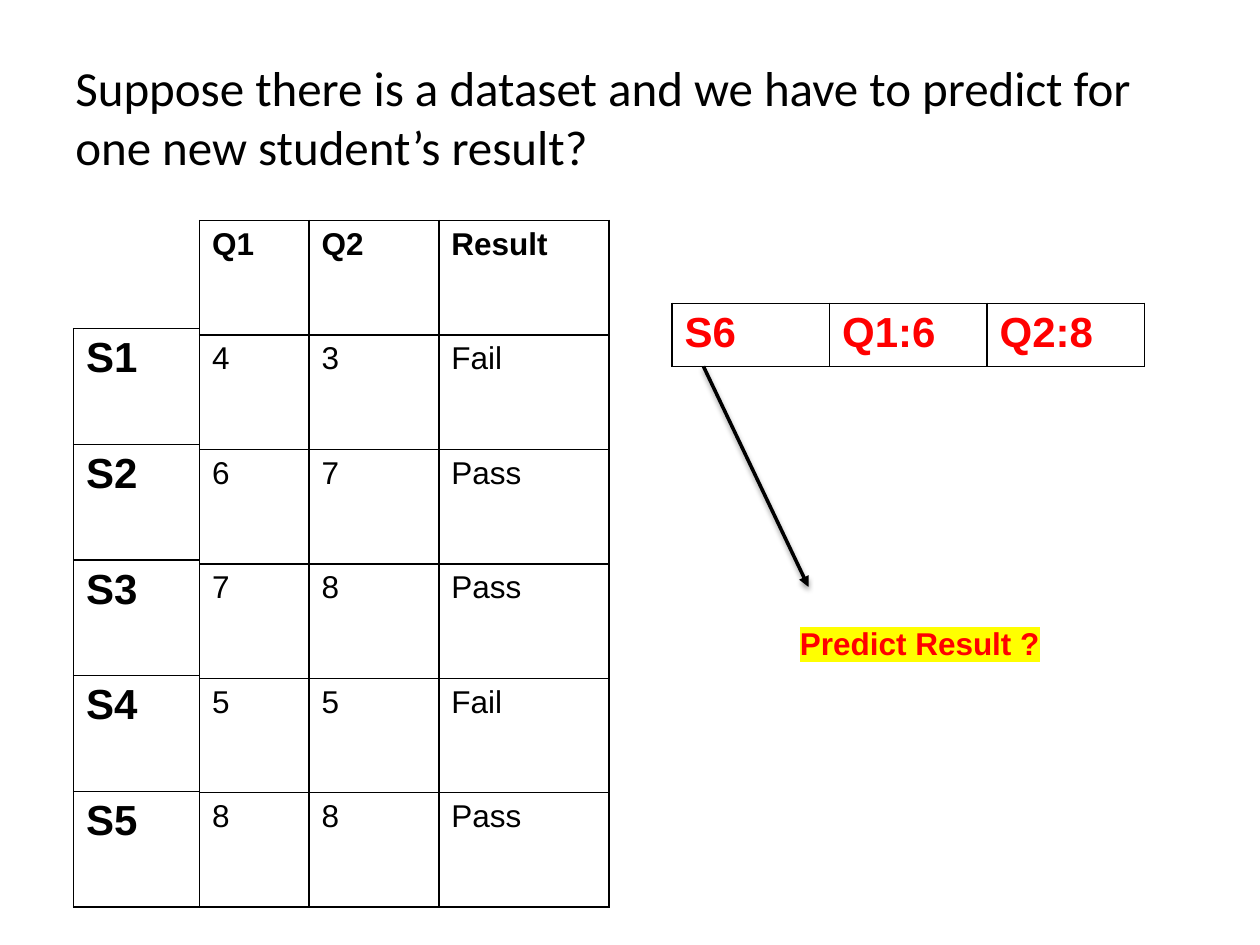
from dataclasses import dataclass

from lxml import etree
from pptx import Presentation
from pptx.dml.color import RGBColor
from pptx.enum.shapes import MSO_CONNECTOR
from pptx.enum.text import MSO_ANCHOR
from pptx.oxml import parse_xml
from pptx.oxml.ns import nsdecls, qn
from pptx.util import Inches, Pt

STRAIGHT = MSO_CONNECTOR.STRAIGHT
MIDDLE = MSO_ANCHOR.MIDDLE
TOP = MSO_ANCHOR.TOP
COLS, ROWS = 120, 90  # slide grid


@dataclass(frozen=True)
class Theme:
    ink: str = "000000"
    accent: str = "FF0000"
    marker: str = "FFFF00"
    title_font: str = "Calibri"
    body_font: str = "Arial"
    title: int = 28
    label: int = 24
    body: int = 18
    border: int = 1
    arrow: int = 2


T = Theme()
prs = Presentation()
prs.slide_width, prs.slide_height = Inches(10), Inches(7.5)


def grid(*values):
    """Turn alternating columns and rows into lengths."""
    units = (prs.slide_width / COLS, prs.slide_height / ROWS)
    return [round(v * units[i % 2]) for i, v in enumerate(values)]


def write(tf, text, size=T.body, font=T.body_font, color=T.ink, bold=False, highlight=None):
    r = tf.paragraphs[0].add_run()
    r.text = text
    r.font.size, r.font.name, r.font.bold = Pt(size), font, bold
    r.font.color.rgb = RGBColor.from_string(color)
    if highlight:
        fill = r.font._element.find(qn("a:solidFill"))
        fill.addnext(parse_xml(
            f'<a:highlight {nsdecls("a")}><a:srgbClr val="{highlight}"/></a:highlight>'))


def add_text(s, box, text, anchor=TOP, wrap=True, **fmt):
    tf = s.shapes.add_textbox(*grid(*box)).text_frame
    tf.word_wrap, tf.vertical_anchor = wrap, anchor
    write(tf, text, **fmt)


def set_borders(cell):
    tc_pr = cell._tc.get_or_add_tcPr()
    for i, side in enumerate(("lnL", "lnR", "lnT", "lnB")):
        tc_pr.insert(i, parse_xml(
            f'<a:{side} {nsdecls("a")} w="{Pt(T.border)}"><a:solidFill>'
            f'<a:srgbClr val="{T.ink}"/></a:solidFill></a:{side}>'))


def add_grid_table(s, box, rows, shares, header=False, **fmt):
    """Equal rows; column widths follow the shares."""
    x, y, w, h = grid(*box)
    table = s.shapes.add_table(len(rows), len(shares), x, y, w, h).table
    table.first_row = table.horz_banding = False
    for column, share in zip(table.columns, shares):
        column.width = round(w * share / sum(shares))
    for i, row in enumerate(rows):
        for j, text in enumerate(row):
            cell = table.cell(i, j)
            cell.fill.background()
            set_borders(cell)
            write(cell.text_frame, text, **{"bold": header and i == 0, **fmt})


def add_arrow(s, ends):
    line = s.shapes.add_connector(STRAIGHT, *grid(*ends))
    line.line.width = Pt(T.arrow)
    line.line.color.rgb = RGBColor.from_string(T.ink)
    etree.SubElement(line.line._get_or_add_ln(), qn("a:tailEnd"), type="triangle")
    line._element.spPr.append(parse_xml(
        f'<a:effectLst {nsdecls("a")}><a:outerShdw blurRad="{Pt(3.1)}" dist="{Pt(1.6)}" '
        f'dir="5400000" rotWithShape="0"><a:srgbClr val="{T.ink}"><a:alpha val="38000"/>'
        '</a:srgbClr></a:outerShdw></a:effectLst>'))


def dataset(s, x, y, w, h):
    """Student labels on the left, scores and results on the right."""
    label_w, label_y = 12, 10.3
    scores = [("Q1", "Q2", "Result"), ("4", "3", "Fail"), ("6", "7", "Pass"),
              ("7", "8", "Pass"), ("5", "5", "Fail"), ("8", "8", "Pass")]
    add_grid_table(s, (x + label_w, y, w - label_w, h), scores,
                   (0.87, 1.03, 1.35), header=True)
    students = [(f"S{n}",) for n in range(1, len(scores))]
    add_grid_table(s, (x, y + label_y, label_w, h - label_y), students, (1,),
                   size=T.label, bold=True)


def new_student(s, x, y, w, h):
    """The new scores, with an arrow down to the question."""
    add_grid_table(s, (x, y, w, 4.6), [("S6", "Q1:6", "Q2:8")], (1, 1, 1),
                   size=T.label, color=T.accent, bold=True)
    add_arrow(s, (x + 3, y + 6, x + 13, y + 27))
    add_text(s, (x + 11, y + h - 4.8, 25.4, 4.8), "Predict Result ?", wrap=False,
             color=T.accent, bold=True, highlight=T.marker)


def main():
    s = prs.slides.add_slide(prs.slide_layouts[6])
    add_text(s, (6, 3.6, 108, 15),
             "Suppose there is a dataset and we have to predict for one new student’s result?",
             anchor=MIDDLE, size=T.title, font=T.title_font)
    dataset(s, 7, 21, 51, 65.4)
    new_student(s, 64, 28.9, 45, 34.7)
    prs.save("out.pptx")


if __name__ == "__main__":
    main()
